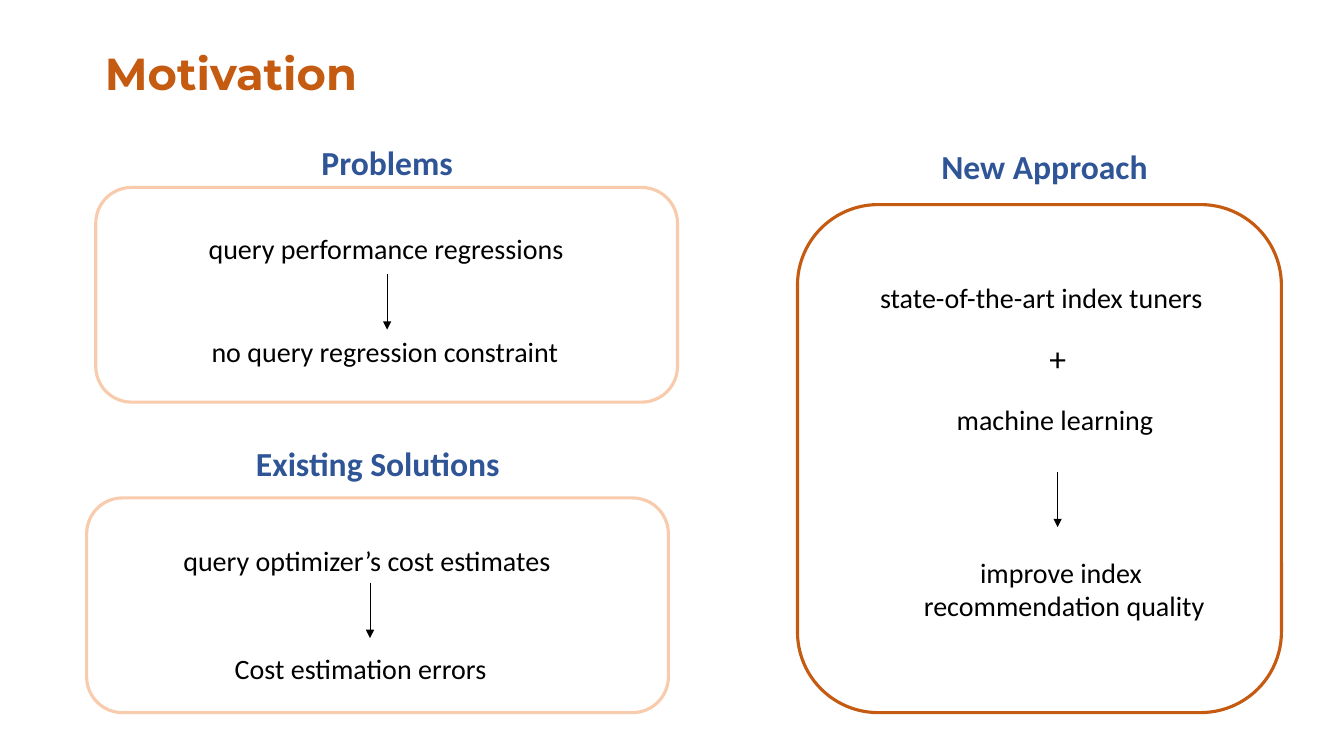
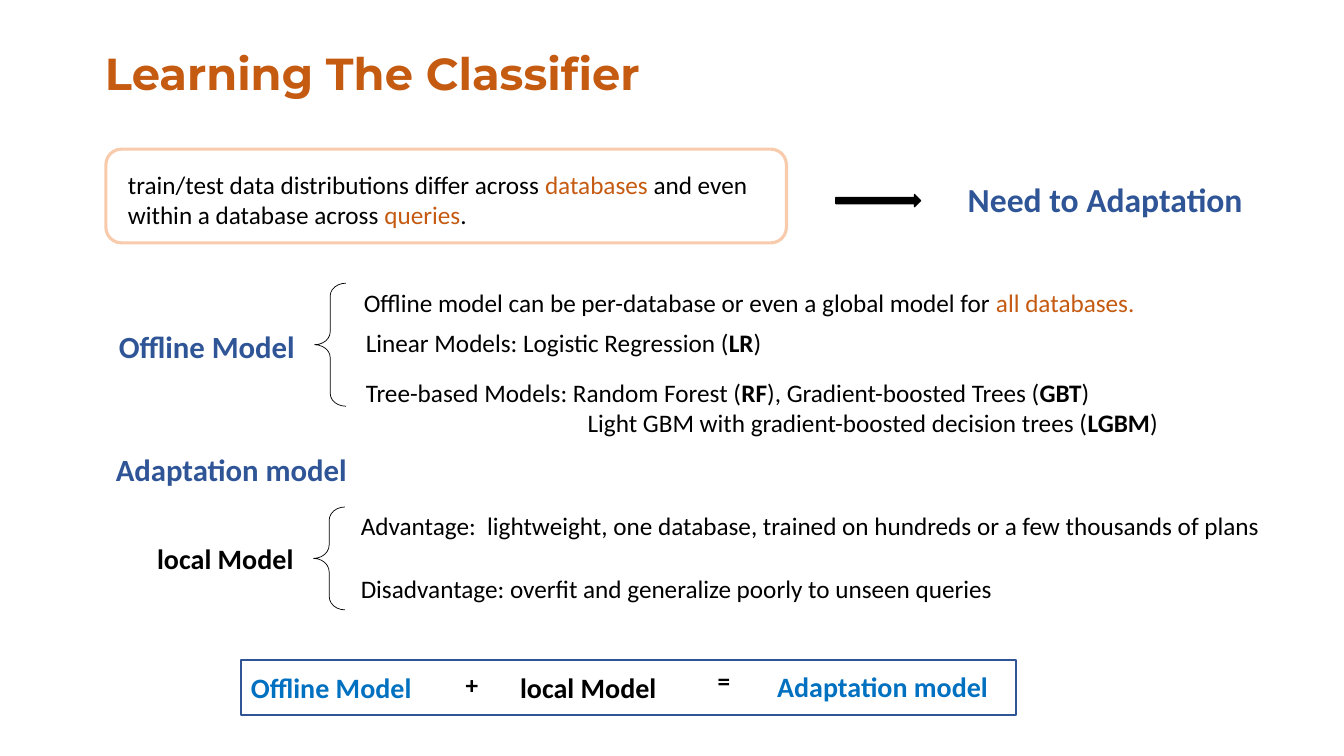
from lxml.etree import SubElement
from pptx import Presentation
from pptx.dml.color import RGBColor
from pptx.enum.shapes import MSO_CONNECTOR, MSO_SHAPE
from pptx.enum.text import MSO_ANCHOR, MSO_AUTO_SIZE, PP_ALIGN
from pptx.oxml.ns import qn
from pptx.util import Inches, Pt

ORANGE, PEACH = "C55A11", "F8CBAD"
NAVY, BLUE, BLACK = "2F5597", "0070C0", "000000"


def rgb(value):
    return RGBColor.from_string(value)


def inches(*values):
    return [Inches(v) for v in values]


class Deck:
    title_font, body_font = "Montserrat", "Calibri"

    def __init__(self):
        self.prs = Presentation()
        self.prs.slide_width, self.prs.slide_height = inches(13.33, 7.5)
        self.s = None

    def style(self, r, size, color, bold, font=body_font):
        r.font.name, r.font.size, r.font.bold = font, Pt(size), bold
        r.font.color.rgb = rgb(color)

    def slide(self, title):
        self.s = self.prs.slides.add_slide(self.prs.slide_layouts[5])
        sp = self.s.shapes.title
        sp.left, sp.top, sp.width, sp.height = inches(0.94, 0.37, 11.5, 0.76)
        tf = sp.text_frame
        tf.text = title
        tf.auto_size, tf.vertical_anchor = MSO_AUTO_SIZE.NONE, MSO_ANCHOR.MIDDLE
        p = tf.paragraphs[0]
        p.alignment, p.line_spacing = PP_ALIGN.LEFT, 0.9
        self.style(p.runs[0], 32, ORANGE, True, self.title_font)

    def text(self, x, y, w, h, text, size=20, color=BLACK, bold=False, align=PP_ALIGN.LEFT):
        tf = self.s.shapes.add_textbox(*inches(x, y, w, h)).text_frame
        tf.word_wrap = True
        tf.text = text
        for p in tf.paragraphs:
            p.alignment = align
            for r in p.runs:
                self.style(r, size, color, bold)
        return tf

    def heading(self, x, y, w, text, size=24, align=PP_ALIGN.LEFT):
        self.text(x, y, w, 0.5, text, size, NAVY, True, align)

    def rich(self, x, y, w, h, *lines, color=BLACK, bold=False):
        tf = self.text(x, y, w, h, "", 18)
        for i, line in enumerate(lines):
            p = tf.add_paragraph() if i else tf.paragraphs[0]
            for j, part in enumerate(line):
                r = p.add_run()
                r.text = part
                marked = j % 2 == 1
                self.style(r, 18, color if marked else BLACK, bold and marked)
        return tf

    def shape(self, kind, x, y, w, h, line, width=2.25, fill=None):
        sp = self.s.shapes.add_shape(kind, *inches(x, y, w, h))
        sp.shadow.inherit = False
        if fill:
            sp.fill.solid()
            sp.fill.fore_color.rgb = rgb(fill)
        else:
            sp.fill.background()
        sp.line.color.rgb, sp.line.width = rgb(line), Pt(width)
        return sp

    def panel(self, x, y, w, h, line=PEACH):
        self.shape(MSO_SHAPE.ROUNDED_RECTANGLE, x, y, w, h, line)

    def brace(self, x, y, h, curve):
        sp = self.shape(MSO_SHAPE.LEFT_BRACE, x, y, 0.31, h, BLACK, 0.5)
        sp.adjustments[0] = curve

    def arrow(self, x, y, length=0.55):
        cx = self.s.shapes.add_connector(MSO_CONNECTOR.STRAIGHT, *inches(x, y, x, y + length))
        cx.line.color.rgb, cx.line.width = rgb(BLACK), Pt(0.5)
        SubElement(cx.line._get_or_add_ln(), qn("a:tailEnd"), type="triangle")
        SubElement(cx._element.spPr, qn("a:effectLst"))


def motivation(d):
    d.slide("Motivation")
    d.heading(1.61, 1.36, 4.46, "Problems", align=PP_ALIGN.CENTER)
    d.panel(0.95, 1.86, 5.77, 2.13)
    d.text(1.97, 2.25, 3.91, 0.44, "query performance regressions")
    d.arrow(3.84, 2.72)
    d.text(2, 3.27, 4.63, 0.44, "no query regression constraint")

    d.heading(2.44, 4.34, 2.79, "Existing Solutions")
    d.panel(0.86, 4.94, 5.77, 2.13)
    d.text(1.72, 5.34, 4.1, 0.44, "query optimizer’s cost estimates")
    d.arrow(3.67, 5.78)
    d.text(2.23, 6.41, 4.63, 0.44, "Cost estimation errors")

    d.heading(8.28, 1.4, 4.16, "New Approach", align=PP_ALIGN.CENTER)
    d.panel(7.91, 2.03, 4.8, 5.04, ORANGE)
    d.text(8.63, 2.73, 3.54, 0.44, "state-of-the-art index tuners")
    d.text(10.31, 3.3, 0.5, 0.5, "+", 24)
    d.text(9.39, 3.94, 2.23, 0.44, "machine learning")
    d.arrow(10.49, 4.68)
    d.text(9, 5.46, 3.11, 0.77, "improve index \nrecommendation quality", align=PP_ALIGN.CENTER)


def classifier(d):
    d.slide("Learning The Classifier")
    d.panel(1.05, 1.48, 6.75, 0.93)
    d.rich(1.17, 1.63, 6.67, 0.71,
           ["train/test data distributions differ across ", "databases",
            " and even within a database across ", "queries", "."], color=ORANGE)
    d.shape(MSO_SHAPE.RIGHT_ARROW, 8.29, 1.93, 0.84, 0.12, BLACK, 1, BLACK)
    d.heading(9.5, 1.73, 3.03, "Need to Adaptation")

    d.heading(1.08, 3.2, 2.04, "Offline Model", 22)
    d.brace(3.12, 2.81, 1.22, 0.41)
    d.rich(3.51, 2.8, 8.51, 0.4,
           ["Offline model can be per-database or even a global model for ", "all databases."],
           color=ORANGE)
    d.rich(3.53, 3.2, 4.38, 0.4, ["Linear Models: Logistic Regression (", "LR", ")"], bold=True)
    tf = d.rich(3.53, 3.69, 8.28, 0.71,
                ["Tree-based Models: Random Forest (", "RF",
                 "), Gradient-boosted Trees (", "GBT", ")"],
                ["Light GBM with gradient-boosted decision trees (", "LGBM", ")"], bold=True)
    pPr = tf.paragraphs[1]._p.get_or_add_pPr()
    pPr.set("marL", str(Inches(2.2)))
    pPr.set("indent", "0")

    d.heading(1.05, 4.42, 2.58, "Adaptation model", 22)
    d.text(1.46, 5.32, 1.82, 0.44, "local Model", bold=True)
    d.brace(3.11, 5.03, 1.02, 0.43)
    d.text(3.48, 5.01, 9.56, 0.4,
           "Advantage:  lightweight, one database, trained on hundreds or a few thousands of plans", 18)
    d.text(3.48, 5.64, 9.56, 0.4,
           "Disadvantage: overfit and generalize poorly to unseen queries", 18)

    d.shape(MSO_SHAPE.RECTANGLE, 2.39, 6.55, 7.69, 0.54, NAVY, 1.5)
    for x, y, w, term, size, color in [
        (2.39, 6.6, 1.89, "Offline Model", 20, BLUE),
        (4.52, 6.59, 0.34, "+", 18, BLACK),
        (5.06, 6.6, 1.82, "local Model", 20, BLACK),
        (7.02, 6.55, 0.34, "=", 18, BLACK),
        (7.61, 6.59, 2.37, "Adaptation model", 20, BLUE),
    ]:
        d.text(x, y, w, 0.44, term, size, color, True)


def main():
    d = Deck()
    motivation(d)
    classifier(d)
    d.prs.save("out.pptx")


if __name__ == "__main__":
    main()
